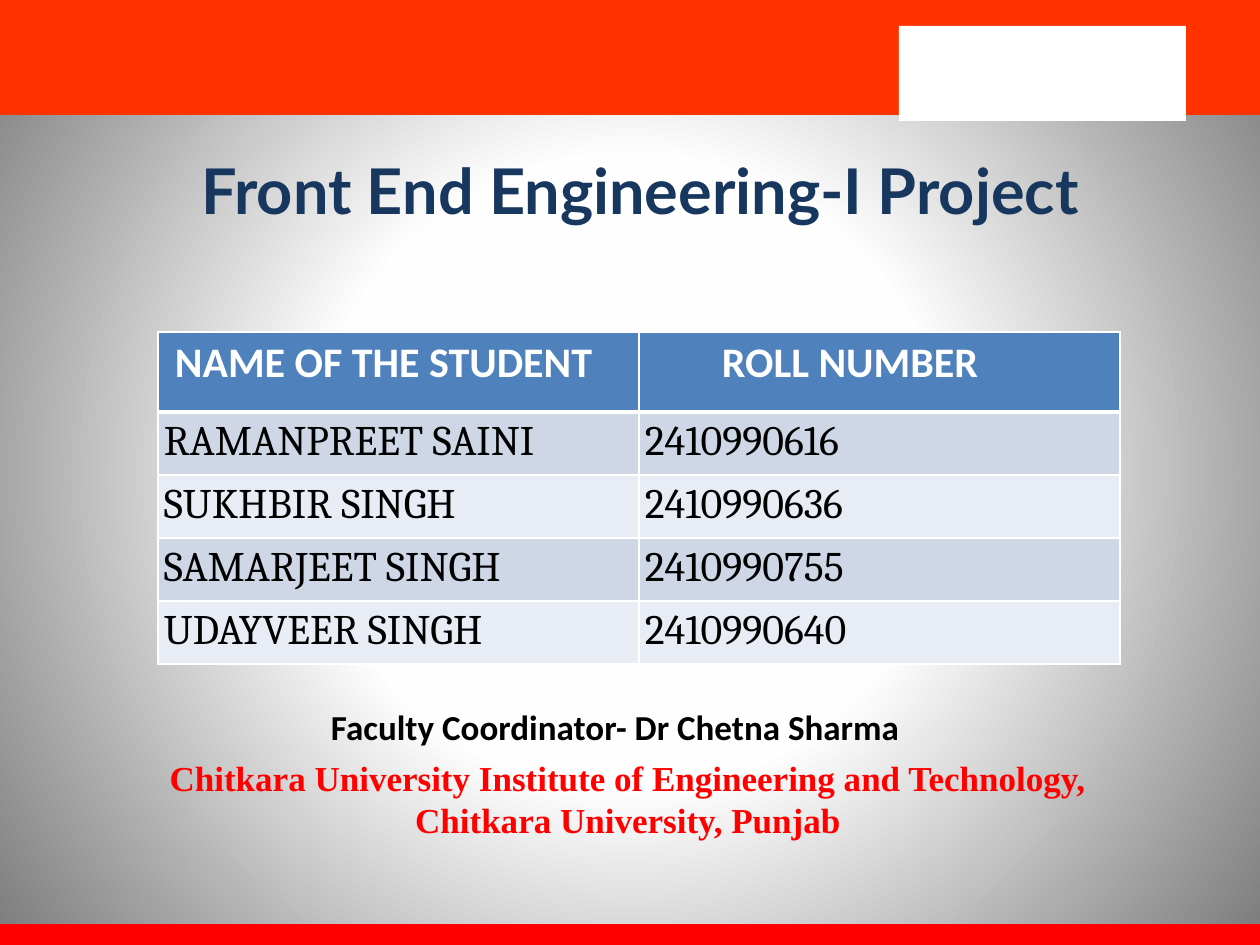
from lxml import etree
from pptx import Presentation
from pptx.dml.color import RGBColor
from pptx.enum.shapes import MSO_SHAPE
from pptx.enum.text import MSO_ANCHOR, PP_ALIGN
from pptx.oxml import parse_xml
from pptx.oxml.ns import nsdecls, qn
from pptx.util import Emu, Pt

RECTANGLE = MSO_SHAPE.RECTANGLE
LEFT, CENTER = PP_ALIGN.LEFT, PP_ALIGN.CENTER
TOP = MSO_ANCHOR.TOP

EMU_PER_PX = 914400 / 126
SLIDE_W, SLIDE_H = 1260, 945
INSET = 6

# Gradient stops from the centre outwards: percent, colour
BACKGROUND = [(0, "FFFFFF"), (40, "FEFEFE"), (100, "7B7B7B")]

# left, top, width, height, colour
BARS = [
    (0, 0, SLIDE_W, 115, "FF3300"),
    (0, 924, SLIDE_W, 21, "FF0000"),
    (899, 26, 287, 95, "FFFFFF"),
]

# lines, box, format
TEXTS = [
    (["Front End Engineering-I Project"], (165, 146, 950, 145),
     dict(size=36, font="Lato", color="17375E", bold=True, align=CENTER)),
    (["Chitkara University Institute of Engineering and Technology,",
      "Chitkara University, Punjab"], (138, 750, 980, 92),
     dict(size=20, font="Times New Roman", color="FF0000", bold=True,
          align=CENTER)),
    (["Faculty Coordinator- Dr Chetna Sharma"], (325, 699, 640, 47),
     dict(size=20, font="Calibri", color="000000", bold=True)),
]

HEADINGS = ["NAME OF THE STUDENT", "ROLL NUMBER"]
HEADING_INSETS = [17, 83]
STUDENTS = [
    ("RAMANPREET SAINI", "2410990616"),
    ("SUKHBIR SINGH", "2410990636"),
    ("SAMARJEET SINGH", "2410990755"),
    ("UDAYVEER SINGH", "2410990640"),
]
TABLE_LEFT, TABLE_TOP = 158, 332
COLUMN_W, HEADING_H, STUDENT_H = 481, 80, 63
HEADING_FILL = "4F81BD"
BAND_FILLS = ["CFD7E7", "E8ECF4"]
HEADING_FORMAT = dict(size=24, font="Calibri", color="FFFFFF", bold=True)
STUDENT_FORMAT = dict(size=24, font="Cambria", color="000000")


def px(length):
    return Emu(round(length * EMU_PER_PX))


def rgb(color):
    return RGBColor.from_string(color)


def write(frame, lines, size, font, color, bold=False, align=LEFT):
    frame.word_wrap = True
    for index, line in enumerate(lines):
        paragraph = frame.add_paragraph() if index else frame.paragraphs[0]
        paragraph.alignment = align
        run = paragraph.add_run()
        run.text = line
        run.font.size = Pt(size)
        run.font.name = font
        run.font.bold = bold
        run.font.color.rgb = rgb(color)


def set_insets(holder, left=INSET):
    """Set the margins of a text frame or a table cell."""
    holder.margin_left = px(left)
    holder.margin_top = holder.margin_right = holder.margin_bottom = px(INSET)


def paint_background(slide):
    """Fill the background with a circular gradient around the centre."""
    slide.background.fill.gradient()
    gradient = slide.element.find(".//" + qn("a:gradFill"))
    stops = "".join(
        f'<a:gs pos="{percent * 1000}"><a:srgbClr val="{color}"/></a:gs>'
        for percent, color in BACKGROUND)
    gradient.getparent().replace(gradient, parse_xml(
        f'<a:gradFill {nsdecls("a")} rotWithShape="1">'
        f'<a:gsLst>{stops}</a:gsLst><a:path path="circle">'
        '<a:fillToRect l="50000" t="50000" r="50000" b="50000"/>'
        '</a:path></a:gradFill>'))


def add_bar(slide, left, top, width, height, color):
    bar = slide.shapes.add_shape(
        RECTANGLE, px(left), px(top), px(width), px(height))
    bar.shadow.inherit = False
    bar.fill.solid()
    bar.fill.fore_color.rgb = rgb(color)
    bar.line.fill.background()


def add_text(slide, lines, box, **text_format):
    frame = slide.shapes.add_textbox(*map(px, box)).text_frame
    set_insets(frame)
    frame.vertical_anchor = TOP
    write(frame, lines, **text_format)


def set_borders(cell, bottom, top):
    """Draw white cell borders; bottom and top are widths in points."""
    properties = cell._tc.get_or_add_tcPr()
    sides = [("lnL", 1), ("lnR", 1), ("lnT", top), ("lnB", bottom)]
    for position, (side, width) in enumerate(sides):
        border = etree.Element(qn("a:" + side), w=str(Pt(width)))
        fill = etree.SubElement(border, qn("a:solidFill"))
        etree.SubElement(fill, qn("a:srgbClr"), val="FFFFFF")
        properties.insert(position, border)


def add_student_table(slide):
    rows = [HEADINGS, *STUDENTS]
    height = HEADING_H + STUDENT_H * len(STUDENTS)
    table = slide.shapes.add_table(
        len(rows), len(HEADINGS), px(TABLE_LEFT), px(TABLE_TOP),
        px(COLUMN_W * len(HEADINGS)), px(height)).table
    for column in table.columns:
        column.width = px(COLUMN_W)
    for r, values in enumerate(rows):
        heading = r == 0
        table.rows[r].height = px(HEADING_H if heading else STUDENT_H)
        for c, value in enumerate(values):
            cell = table.cell(r, c)
            set_insets(cell, HEADING_INSETS[c] if heading else INSET)
            cell.vertical_anchor = TOP
            cell.fill.solid()
            cell.fill.fore_color.rgb = rgb(
                HEADING_FILL if heading else BAND_FILLS[(r - 1) % 2])
            set_borders(cell, bottom=3 if heading else 1, top=3 if r == 1 else 1)
            write(cell.text_frame, [value],
                  **(HEADING_FORMAT if heading else STUDENT_FORMAT))


def main():
    presentation = Presentation()
    presentation.slide_width, presentation.slide_height = px(SLIDE_W), px(SLIDE_H)
    slide = presentation.slides.add_slide(presentation.slide_layouts[6])
    paint_background(slide)
    for bar in BARS:
        add_bar(slide, *bar)
    for lines, box, text_format in TEXTS:
        add_text(slide, lines, box, **text_format)
    add_student_table(slide)
    presentation.save("out.pptx")


if __name__ == "__main__":
    main()
